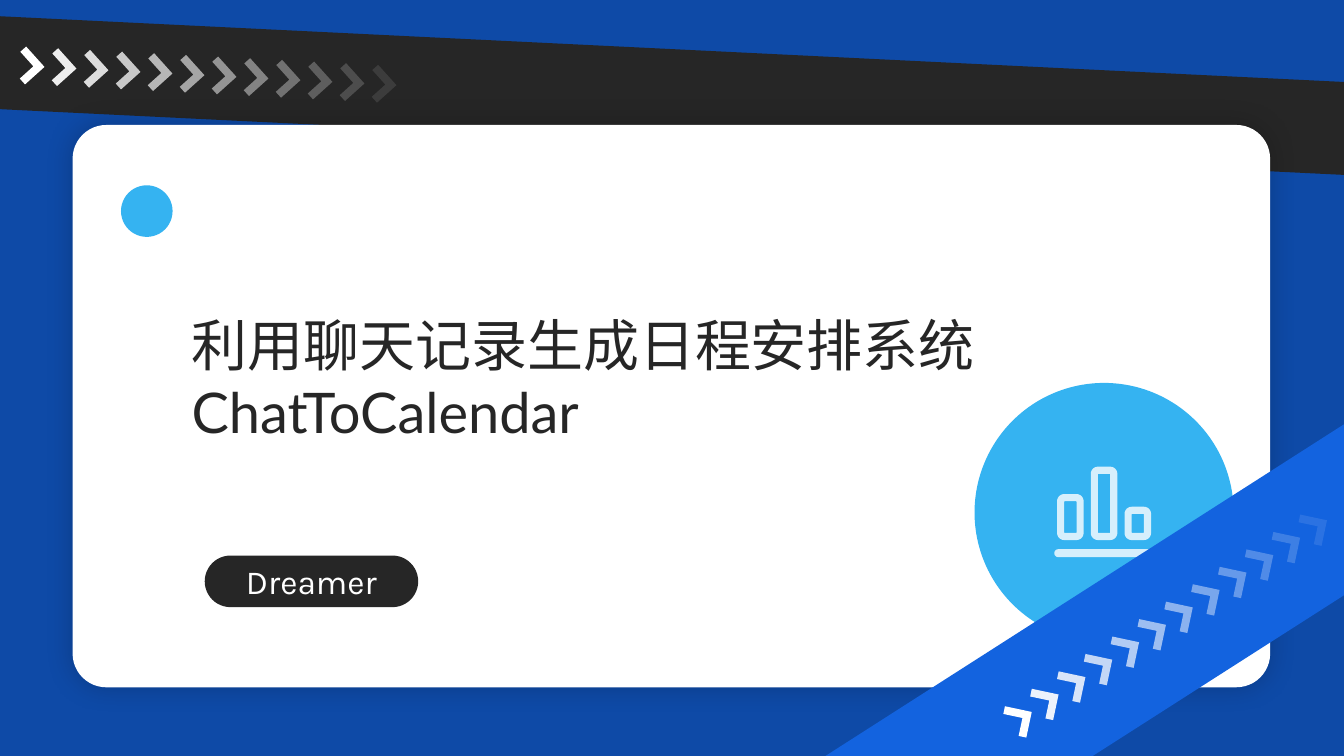
from math import cos, sin, pi
from lxml import etree
from pptx import Presentation
from pptx.dml.color import RGBColor
from pptx.enum import shapes, text
from pptx.oxml import ns
from pptx.util import Cm, Pt

BLUE = RGBColor(0x0E, 0x4A, 0xA7)
BRIGHT = RGBColor(0x13, 0x63, 0xDF)
SKY = RGBColor(0x35, 0xB3, 0xF1)
DARK = RGBColor(0x26, 0x26, 0x26)
WHITE = RGBColor(0xFF, 0xFF, 0xFF)
KIND = shapes.MSO_SHAPE

TITLE = ["利用聊天记录生成日程安排系统", "ChatToCalendar"]
AUTHOR = "Dreamer"

DARK_BAND = (-3.25, 1.24, 40.39, 2.34)
CARD = (1.83, 3.15, 30.18, 14.17)
DOT = (3.05, 4.67, 1.3, 1.3)
TITLE_BOX = (4.83, 5.69, 20.37, 7.65)
PILL = (5.16, 14, 5.38, 1.3)
DISC = (24.56, 9.65, 6.53, 6.53)
BRIGHT_BAND = (18.08, 14.96, 19.3, 3.63)

BAR_LEFT, BAR_STEP, BAR_WIDTH, BAR_BOTTOM, BAR_EDGE = 26.64, 0.85, 0.67, 13.61, 0.18
BAR_HEIGHTS = [1.16, 1.85, 0.84]
BASELINE = (26.57, 13.84, 2.52, 0.2)

CHEVRON = (0.69, 0.66)
CHEVRON_COUNT = 12
CHEVRON_ROWS = [
    ((0.3, 1.32), (9.17, 1.78), 228),
    ((25.25, 17.86), (32.69, 13.03), 192),
]


def child(parent, tag, **attributes):
    return etree.SubElement(parent, ns.qn(tag), attributes)


def paint(shape, color, alpha=100):
    shape.shadow.inherit = False
    shape.fill.solid()
    shape.fill.fore_color.rgb = color
    shape.line.fill.background()
    if alpha < 100:
        tone = shape._element.spPr.find(".//" + ns.qn("a:srgbClr"))
        child(tone, "a:alpha", val=str(round(alpha * 1000)))


def add_shape(parent, kind, place, color, alpha=100, rotation=0, adjustments=()):
    shape = parent.add_shape(kind, *map(Cm, place))
    shape.rotation = rotation
    for index, value in enumerate(adjustments):
        shape.adjustments[index] = value
    paint(shape, color, alpha)
    return shape


def add_shadow(shape, blur, alpha):
    effects = shape._element.spPr.find(ns.qn("a:effectLst"))
    shadow = child(effects, "a:outerShdw", blurRad=str(Pt(blur)), dist="0",
                   dir="0", algn="ctr", rotWithShape="0")
    tone = child(shadow, "a:srgbClr", val="000000")
    child(tone, "a:alpha", val=str(alpha * 1000))


def write(frame, lines, font, size, color, alignment):
    frame.word_wrap = True
    frame.vertical_anchor = text.MSO_ANCHOR.MIDDLE
    for index, line in enumerate(lines):
        para = frame.add_paragraph() if index else frame.paragraphs[0]
        para.text = line
        para.alignment = alignment
        para.font.name = font
        para.font.size = Pt(size)
        para.font.color.rgb = color


def rounded(left, top, width, height, radius, steps=6):
    centers = [
        (left + width - radius, top + height - radius),
        (left + radius, top + height - radius),
        (left + radius, top + radius),
        (left + width - radius, top + radius),
    ]
    angles = [pi / 2 * step / steps for step in range(steps + 1)]
    return [
        (Cm(x + radius * cos(turn * pi / 2 + angle)),
         Cm(y + radius * sin(turn * pi / 2 + angle)))
        for turn, (x, y) in enumerate(centers) for angle in angles
    ]


def add_chart_icon(page):
    outlines = [rounded(*BASELINE, BASELINE[3] / 2)]
    for index, height in enumerate(BAR_HEIGHTS):
        left, top = BAR_LEFT + index * BAR_STEP, BAR_BOTTOM - height
        outlines.append(rounded(left, top, BAR_WIDTH, height, BAR_EDGE))
        hole = rounded(left + BAR_EDGE, top + BAR_EDGE, BAR_WIDTH - 2 * BAR_EDGE,
                       height - 2 * BAR_EDGE, 0.01, 1)
        outlines.append(hole[::-1])
    builder = page.shapes.build_freeform(*outlines[0][0])
    for index, outline in enumerate(outlines):
        if index:
            builder.move_to(*outline[0])
        builder.add_line_segments(outline[1:], close=True)
    paint(builder.convert_to_shape(), WHITE, 80)


def add_chevrons(page, first, last, rotation):
    group = page.shapes.add_group_shape()
    for index in range(CHEVRON_COUNT):
        share = index / (CHEVRON_COUNT - 1)
        corner = [a + (b - a) * share for a, b in zip(first, last)]
        add_shape(group.shapes, KIND.CORNER, (*corner, *CHEVRON), WHITE,
                  100 - 90 * share, rotation, (0.3, 0.3))


def main():
    deck = Presentation()
    deck.slide_width, deck.slide_height = Cm(33.87), Cm(19.05)
    page = deck.slides.add_slide(deck.slide_layouts[6])
    page.background.fill.solid()
    page.background.fill.fore_color.rgb = BLUE

    add_shape(page.shapes, KIND.RECTANGLE, DARK_BAND, DARK, rotation=2.8)
    card = add_shape(page.shapes, KIND.ROUNDED_RECTANGLE, CARD, WHITE, adjustments=[0.06])
    add_shadow(card, 20, 20)
    add_shape(page.shapes, KIND.OVAL, DOT, SKY)

    title = page.shapes.add_textbox(*map(Cm, TITLE_BOX)).text_frame
    title.margin_left = title.margin_right = title.margin_top = title.margin_bottom = 0
    write(title, TITLE, "Lato", 40, DARK, text.PP_ALIGN.LEFT)

    pill = add_shape(page.shapes, KIND.ROUNDED_RECTANGLE, PILL, DARK, adjustments=[0.5])
    write(pill.text_frame, [AUTHOR], "Karla", 24, WHITE, text.PP_ALIGN.CENTER)

    add_shape(page.shapes, KIND.OVAL, DISC, SKY)
    add_chart_icon(page)
    add_shape(page.shapes, KIND.RECTANGLE, BRIGHT_BAND, BRIGHT, rotation=327.4)
    for first, last, rotation in CHEVRON_ROWS:
        add_chevrons(page, first, last, rotation)

    deck.save("out.pptx")


if __name__ == "__main__":
    main()
